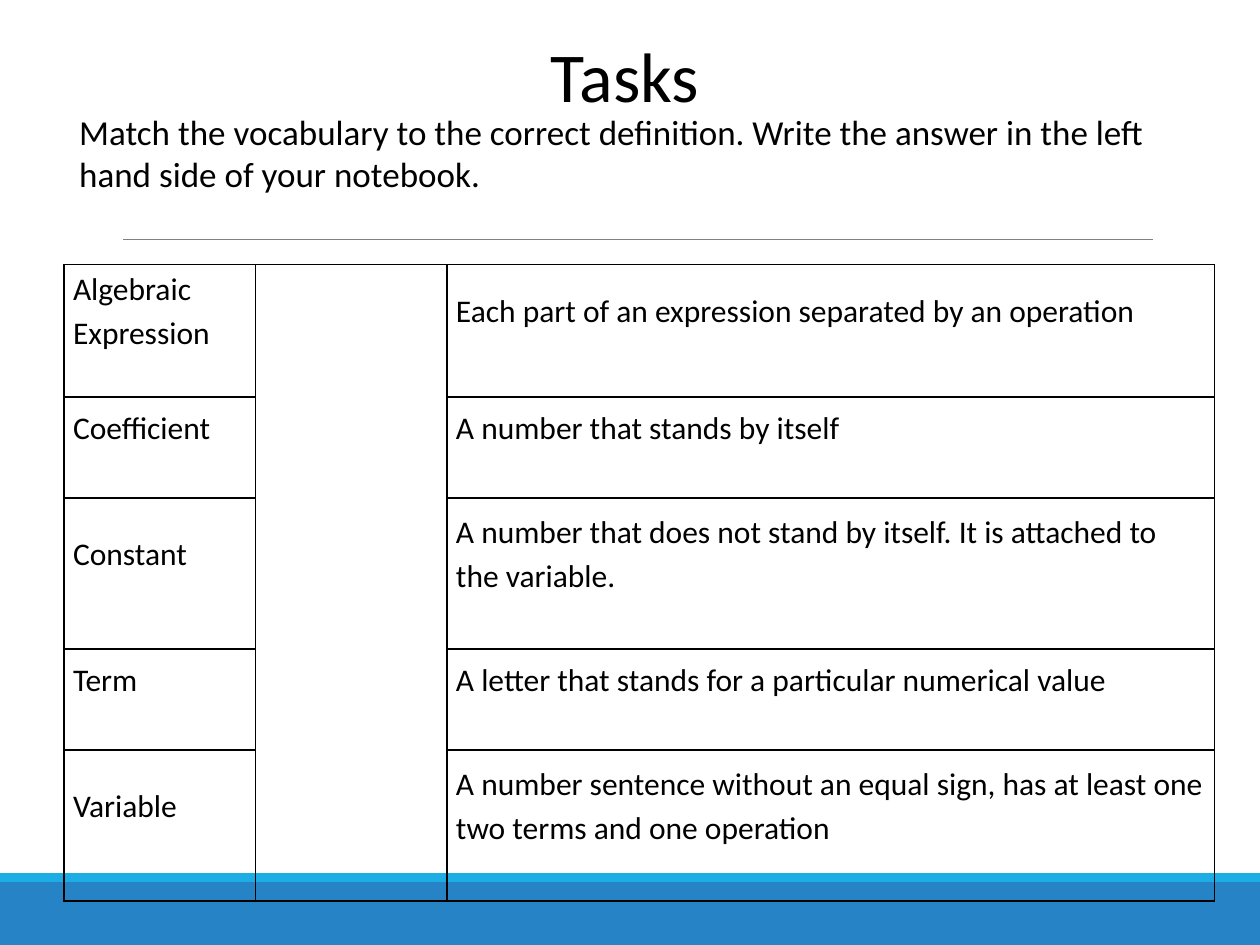
import pptx
import pptx.dml.color
import pptx.enum.shapes
import pptx.enum.text
import pptx.oxml
import pptx.oxml.ns
import pptx.util
from pptx.util import Inches

COLORS = {"text": "000000", "border": "000000", "rule": "808080", "band": "2683C6", "strip": "1CADE4"}
FONT = "Calibri"
COLUMN_WIDTHS = [1.52, 1.52, 6.09]
ROW_HEIGHTS = [1.03, 0.8, 1.2, 0.8, 1.2]
ROWS = [
    ("Algebraic Expression", "Each part of an expression separated by an operation"),
    ("Coefficient", "A number that stands by itself"),
    ("Constant", "A number that does not stand by itself. It is attached to the variable."),
    ("Term", "A letter that stands for a particular numerical value"),
    ("Variable", "A number sentence without an equal sign, has at least one two terms and one operation"),
]


def color(name):
    """Return the named palette color."""
    return pptx.dml.color.RGBColor.from_string(COLORS[name])


def write(frame, text, size, alignment=pptx.enum.text.PP_ALIGN.LEFT):
    """Write one formatted span in the frame and return its paragraph."""
    para = frame.paragraphs[0]
    para.alignment = alignment
    span = para.add_run()
    span.text = text
    span.font.name = FONT
    span.font.size = pptx.util.Pt(size)
    span.font.color.rgb = color("text")
    return para


def add_bar(page, name, left, top, width, height):
    """Add a plain filled bar."""
    bar = page.shapes.add_shape(pptx.enum.shapes.MSO_SHAPE.RECTANGLE, left, top, width, height)
    bar.shadow.inherit = False
    bar.fill.solid()
    bar.fill.fore_color.rgb = color(name)
    bar.line.fill.background()


def add_rule(page, left, top, width):
    """Add the thin rule under the instructions."""
    rule = page.shapes.add_connector(
        pptx.enum.shapes.MSO_CONNECTOR.STRAIGHT, left, top, left + width, top)
    rule.line.color.rgb = color("rule")
    rule.line.width = pptx.util.Pt(0.5)
    rule._element.spPr.append(pptx.oxml.parse_xml(
        f"<a:effectLst {pptx.oxml.ns.nsdecls('a')}/>"))


def place_title(page, left, top, width, height):
    """Move the title placeholder and fill it."""
    title = page.shapes.title
    title.left, title.top, title.width, title.height = left, top, width, height
    title.text_frame.vertical_anchor = pptx.enum.text.MSO_ANCHOR.TOP
    write(title.text_frame, "Tasks", 40, pptx.enum.text.PP_ALIGN.CENTER)


def add_instructions(page, left, top, width, height):
    """Add the instructions for the task."""
    box = page.shapes.add_textbox(left, top, width, height)
    box.text_frame.word_wrap = True
    write(box.text_frame, "Match the vocabulary to the correct definition. "
          "Write the answer in the left hand side of your notebook.", 20)


def format_cell(cell):
    """Give a cell its margins, clear fill and borders."""
    cell.margin_left = cell.margin_right = Inches(0.07)
    cell.margin_top = 0
    cell.margin_bottom = Inches(0.35)
    cell.vertical_anchor = pptx.enum.text.MSO_ANCHOR.MIDDLE
    cell.fill.background()
    properties = cell._tc.get_or_add_tcPr()
    for position, side in enumerate(("lnL", "lnR", "lnT", "lnB")):
        properties.insert(position, pptx.oxml.parse_xml(
            f'<a:{side} {pptx.oxml.ns.nsdecls("a")} w="12700"><a:solidFill>'
            f'<a:srgbClr val="{COLORS["border"]}"/></a:solidFill></a:{side}>'))


def add_matching_table(page, left, top, width, height):
    """Add the terms and definitions with an open column between them."""
    table = page.shapes.add_table(len(ROWS), len(COLUMN_WIDTHS), left, top, width, height).table
    table.first_row = table.horz_banding = False
    for column, column_width in zip(table.columns, COLUMN_WIDTHS):
        column.width = Inches(column_width)
    for row, row_height in zip(table.rows, ROW_HEIGHTS):
        row.height = Inches(row_height)
    for cell in table.iter_cells():
        format_cell(cell)
    table.cell(0, 1).merge(table.cell(len(ROWS) - 1, 1))
    for index, (term, definition) in enumerate(ROWS):
        for column, text in ((0, term), (2, definition)):
            para = write(table.cell(index, column).text_frame, text, 18)
            para.line_spacing = 1.15


def main():
    """Build and save the deck."""
    deck = pptx.Presentation()
    deck.slide_width, deck.slide_height = Inches(10), Inches(7.5)
    page = deck.slides.add_slide(deck.slide_layouts[5])
    add_bar(page, "band", 0, Inches(7), deck.slide_width, Inches(0.5))
    add_bar(page, "strip", 0, Inches(6.93), deck.slide_width, Inches(0.07))
    add_rule(page, Inches(0.98), Inches(1.9), Inches(8.17))
    place_title(page, Inches(0.51), Inches(0.21), Inches(8.9), Inches(1.45))
    add_matching_table(page, Inches(0.51), Inches(2.1),
                       Inches(sum(COLUMN_WIDTHS)), Inches(sum(ROW_HEIGHTS)))
    add_instructions(page, Inches(0.53), Inches(0.83), Inches(9.12), Inches(1.11))
    deck.save("out.pptx")


if __name__ == "__main__":
    main()
